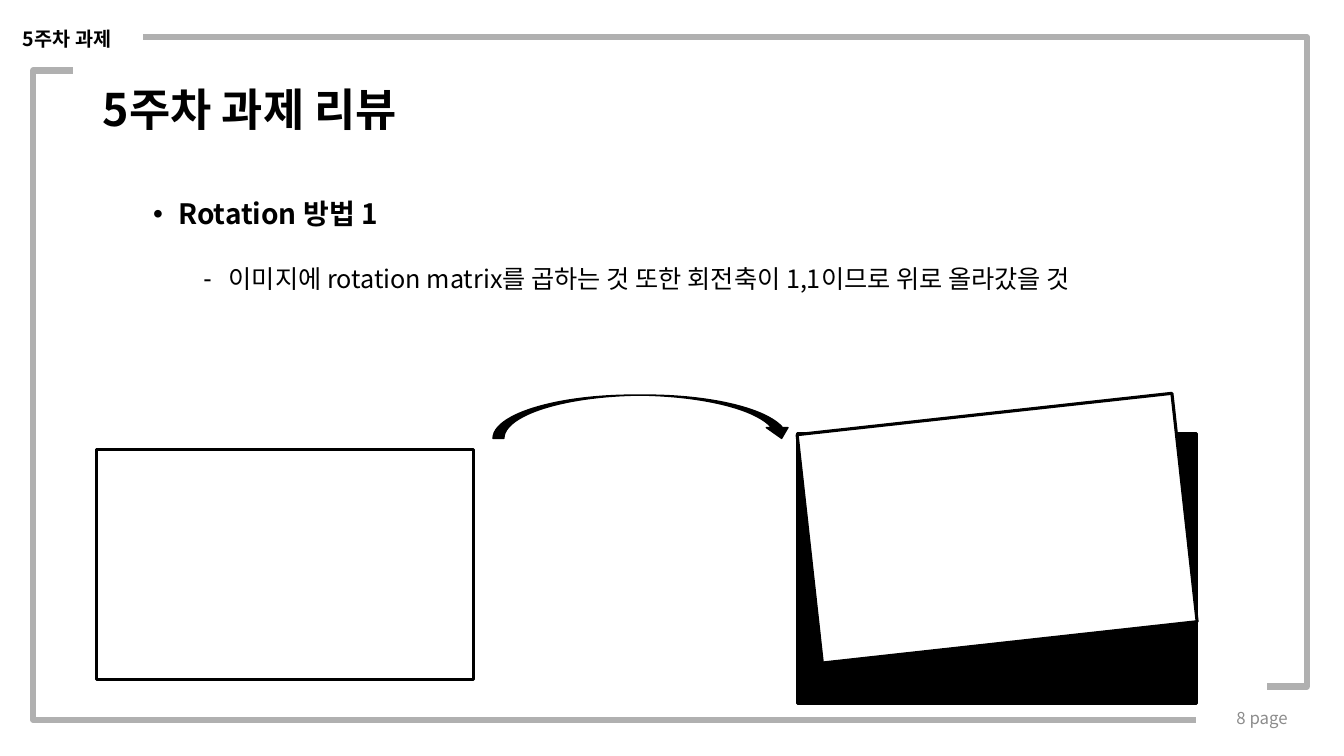
from dataclasses import dataclass
from lxml.etree import SubElement
from pptx import Presentation
from pptx.dml.color import RGBColor
from pptx.enum.shapes import MSO_CONNECTOR, MSO_SHAPE
from pptx.enum.text import MSO_ANCHOR, PP_ALIGN
from pptx.oxml.ns import qn
from pptx.util import Inches, Pt


@dataclass(frozen=True)
class Theme:
    font: str = "Noto Sans CJK KR"
    black: str = "000000"
    white: str = "FFFFFF"
    frame: str = "B0B0B0"
    muted: str = "8C8C8C"
    title: int = 32
    heading: int = 20
    detail: int = 18
    label: int = 14
    page: int = 12


@dataclass(frozen=True)
class Figure:
    kind: MSO_SHAPE
    box: tuple[float, float, float, float]
    fill: str
    line_width: float = 2.25
    rotation: float = 0
    flip: bool = False


@dataclass(frozen=True)
class Bracket:
    start: tuple[float, float]
    end: tuple[float, float]


THEME = Theme()

BRACKETS = [
    Bracket((0.72, 0.7), (11.86, 7.14)),
    Bracket((12.57, 6.81), (1.42, 0.37)),
]

FIGURES = [
    Figure(MSO_SHAPE.RECTANGLE, (7.91, 4.3, 3.96, 2.68), THEME.black),
    Figure(MSO_SHAPE.RECTANGLE, (0.96, 4.46, 3.74, 2.28), THEME.white),
    Figure(MSO_SHAPE.RECTANGLE, (8.02, 4.1, 3.74, 2.28), THEME.white, rotation=353.7),
    Figure(MSO_SHAPE.CURVED_UP_ARROW, (4.89, 3.92, 2.97, 0.43), THEME.black,
           line_width=1, flip=True),
]


def write(p, text: str, *, size: int, color: str = THEME.black, bold: bool = False,
          align: PP_ALIGN = PP_ALIGN.LEFT, spacing: float = 1.0, before: float = 0,
          bullet: str = "", indent: float = 0) -> None:
    """Fill a paragraph with one formatted run."""
    p.alignment, p.line_spacing, p.space_before = align, spacing, Pt(before)
    r = p.add_run()
    r.text = text
    r.font.name, r.font.size, r.font.bold = THEME.font, Pt(size), bold
    r.font.color.rgb = RGBColor.from_string(color)
    SubElement(r.font._element, qn("a:ea"), typeface=THEME.font)
    if bullet:
        pPr = p._p.get_or_add_pPr()
        pPr.set("marL", str(Inches(indent)))
        pPr.set("indent", str(Inches(-0.25)))
        SubElement(pPr, qn("a:buFont"), typeface="Arial")
        SubElement(pPr, qn("a:buChar"), char=bullet)


def add_text_frame(s, box: tuple[float, float, float, float], wrap: bool = True):
    tf = s.shapes.add_textbox(*map(Inches, box)).text_frame
    tf.word_wrap = wrap
    return tf


def add_bracket(s, bracket: Bracket) -> None:
    c = s.shapes.add_connector(MSO_CONNECTOR.ELBOW,
                               *map(Inches, bracket.start + bracket.end))
    c.line.color.rgb = RGBColor.from_string(THEME.frame)
    c.line.width = Pt(4.5)
    spPr = c._element.spPr
    # The bend lies just outside the starting end
    guides = spPr.find(qn("a:prstGeom")).get_or_add_avLst()
    SubElement(guides, qn("a:gd"), name="adj1", fmla="val -3500")
    SubElement(spPr, qn("a:effectLst"))


def add_figure(s, figure: Figure) -> None:
    sp = s.shapes.add_shape(figure.kind, *map(Inches, figure.box))
    sp.shadow.inherit = False
    sp.fill.solid()
    sp.fill.fore_color.rgb = RGBColor.from_string(figure.fill)
    sp.line.color.rgb = RGBColor.from_string(THEME.black)
    sp.line.width = Pt(figure.line_width)
    sp.rotation = figure.rotation
    if figure.flip:
        sp._element.spPr.find(qn("a:xfrm")).set("flipV", "1")


def main() -> None:
    prs = Presentation()
    prs.slide_width, prs.slide_height = Inches(13.33), Inches(7.5)
    s = prs.slides.add_slide(prs.slide_layouts[5])

    # Title
    title = s.shapes.title
    title.left, title.top, title.width, title.height = map(Inches, (0.92, 0.62, 11.5, 0.98))
    title.text_frame.vertical_anchor = MSO_ANCHOR.MIDDLE
    write(title.text_frame.paragraphs[0], "5주차 과제 리뷰",
          size=THEME.title, bold=True, spacing=0.9)

    # Body
    tf = add_text_frame(s, (0.92, 1.94, 11.5, 5.03))
    write(tf.paragraphs[0], "Rotation 방법 1", size=THEME.heading, bold=True,
          spacing=0.9, before=5, bullet="•", indent=0.75)
    p = tf.add_paragraph()
    p.level = 2
    write(p, "이미지에 rotation matrix를 곱하는 것 또한 회전축이 1,1이므로 위로 올라갔을 것",
          size=THEME.detail, spacing=0.9, before=26, bullet="-", indent=1.25)

    # Page number
    tf = add_text_frame(s, (9.87, 6.92, 3, 0.4))
    tf.vertical_anchor = MSO_ANCHOR.MIDDLE
    write(tf.paragraphs[0], "8 page", size=THEME.page, color=THEME.muted,
          align=PP_ALIGN.RIGHT)

    # Frame and its label
    for bracket in BRACKETS:
        add_bracket(s, bracket)
    tf = add_text_frame(s, (0.13, 0.22, 1.17, 0.34), wrap=False)
    write(tf.paragraphs[0], "5주차 과제", size=THEME.label, bold=True)

    # Rotation drawing
    for figure in FIGURES:
        add_figure(s, figure)

    prs.save("out.pptx")


if __name__ == "__main__":
    main()
